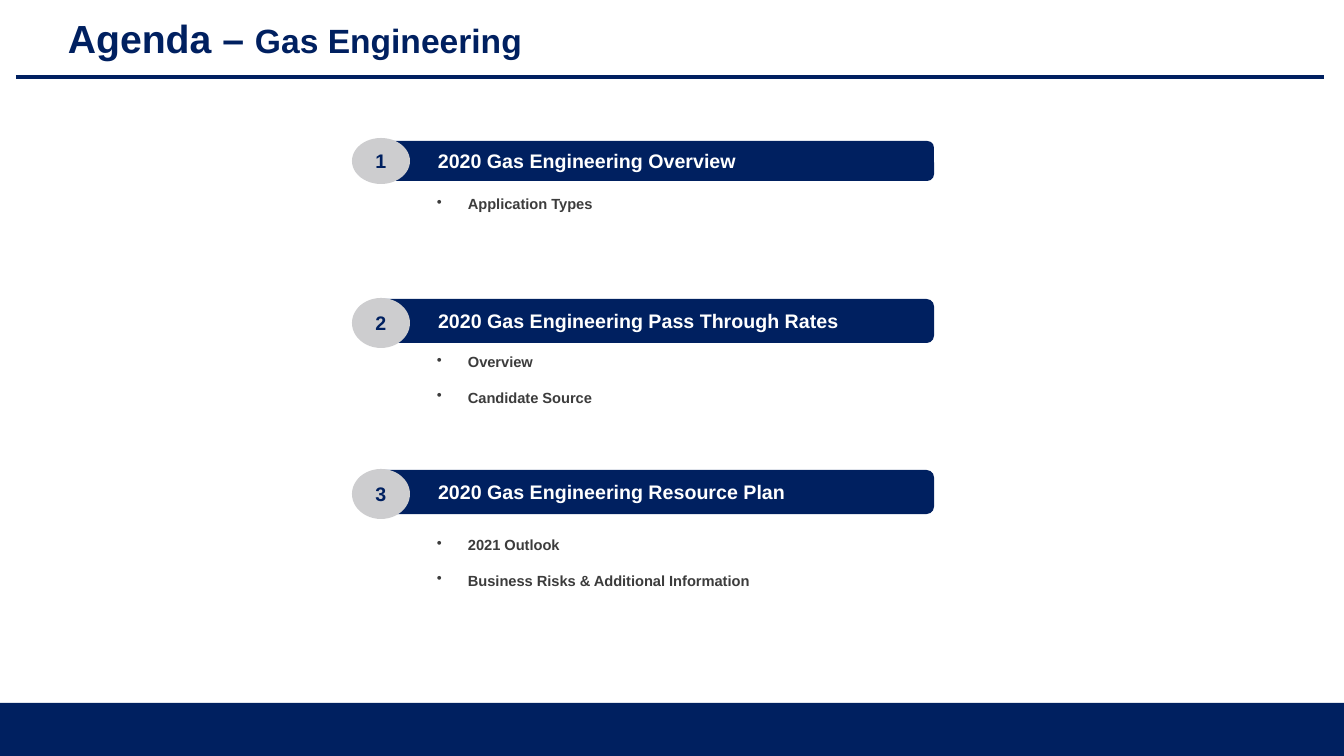
from dataclasses import dataclass

from lxml.etree import SubElement
from pptx import Presentation
from pptx.dml.color import RGBColor
from pptx.enum.shapes import MSO_CONNECTOR as Connector, MSO_SHAPE as Preset
from pptx.enum.text import MSO_ANCHOR as Anchor, PP_ALIGN as Align
from pptx.oxml.ns import qn
from pptx.shapes.autoshape import Shape
from pptx.slide import Slide
from pptx.text.text import _Paragraph as Paragraph
from pptx.util import Emu, Pt

SCALE = 6858000 / 756
NAVY, GREY, CHARCOAL, WHITE = "002060", "CDCDCF", "3C3C3C", "FFFFFF"
BAR_LEFT, BAR_WIDTH = 376, 558
BADGE_LEFT, BADGE_WIDTH = 352, 58


@dataclass(frozen=True)
class Box:
    left: int
    top: int
    width: int
    height: int

    def emu(self) -> tuple[Emu, ...]:
        return tuple(px(n) for n in (self.left, self.top, self.width, self.height))


@dataclass(frozen=True)
class Section:
    heading: str
    bar_top: int
    bar_height: int
    badge_top: int
    badge_height: int
    topics_top: int
    topics: tuple[str, ...]


SECTIONS = (
    Section("2020 Gas Engineering Overview", 141, 40, 138, 46, 190,
            ("Application Types",)),
    Section("2020 Gas Engineering Pass Through Rates", 299, 44, 298, 50, 348,
            ("Overview", "Candidate Source")),
    Section("2020 Gas Engineering Resource Plan", 470, 44, 469, 50, 531,
            ("2021 Outlook", "Business Risks & Additional Information")),
)


def px(pixels: int) -> Emu:
    return Emu(round(pixels * SCALE))


def rgb(color: str) -> RGBColor:
    return RGBColor.from_string(color)


def format_runs(paragraph: Paragraph, size: float, color: str) -> None:
    for run in paragraph.runs:
        run.font.name = "Arial"
        run.font.size = Pt(size)
        run.font.bold = True
        run.font.color.rgb = rgb(color)


def indent(paragraph: Paragraph, margin: int, first: int = 0) -> None:
    properties = paragraph._p.get_or_add_pPr()
    properties.set("marL", str(px(margin)))
    properties.set("indent", str(px(first)))


def add_filled(slide: Slide, preset: Preset, box: Box, color: str) -> Shape:
    shape = slide.shapes.add_shape(preset, *box.emu())
    shape.shadow.inherit = False
    shape.fill.solid()
    shape.fill.fore_color.rgb = rgb(color)
    shape.line.fill.background()
    return shape


def add_label(shape: Shape, text: str, color: str, align: Align) -> Paragraph:
    frame = shape.text_frame
    frame.text = text
    frame.vertical_anchor = Anchor.MIDDLE
    paragraph = frame.paragraphs[0]
    paragraph.alignment = align
    format_runs(paragraph, 14, color)
    return paragraph


def add_title(slide: Slide) -> None:
    title = slide.shapes.add_textbox(*Box(58, 9, 1045, 57).emu())
    frame = title.text_frame
    frame.word_wrap = True
    frame.vertical_anchor = Anchor.MIDDLE
    paragraph = frame.paragraphs[0]
    for text in ("Agenda – ", "Gas Engineering"):
        paragraph.add_run().text = text
    format_runs(paragraph, 28, NAVY)
    paragraph.runs[1].font.size = Pt(24)


def add_rule(slide: Slide) -> None:
    rule = slide.shapes.add_connector(Connector.STRAIGHT, px(16), px(77), px(1324), px(77))
    rule.line.color.rgb = rgb(NAVY)
    rule.line.width = Pt(3)
    SubElement(rule._element.spPr, qn("a:effectLst"))


def add_topics(slide: Slide, section: Section) -> None:
    box = Box(BAR_LEFT, section.topics_top, BAR_WIDTH, 28 + 35 * (len(section.topics) - 1))
    frame = slide.shapes.add_textbox(*box.emu()).text_frame
    frame.word_wrap = True
    frame.text = "\n".join(section.topics)
    for paragraph in frame.paragraphs:
        indent(paragraph, 82, -31)
        paragraph.space_after = Pt(13)
        SubElement(paragraph._p.get_or_add_pPr(), qn("a:buChar"), char="•")
        format_runs(paragraph, 10.5, CHARCOAL)


def add_section(slide: Slide, number: int, section: Section) -> None:
    bar_box = Box(BAR_LEFT, section.bar_top, BAR_WIDTH, section.bar_height)
    bar = add_filled(slide, Preset.ROUNDED_RECTANGLE, bar_box, NAVY)
    indent(add_label(bar, section.heading, WHITE, Align.LEFT), 50)
    badge_box = Box(BADGE_LEFT, section.badge_top, BADGE_WIDTH, section.badge_height)
    badge = add_filled(slide, Preset.OVAL, badge_box, GREY)
    add_label(badge, str(number), NAVY, Align.CENTER)
    add_topics(slide, section)


def main() -> None:
    """Build the gas engineering agenda slide."""
    presentation = Presentation()
    presentation.slide_width, presentation.slide_height = px(1344), px(756)
    slide = presentation.slides.add_slide(presentation.slide_layouts[6])
    add_filled(slide, Preset.RECTANGLE, Box(0, 703, 1344, 53), NAVY)
    add_title(slide)
    add_rule(slide)
    for number, section in enumerate(SECTIONS, 1):
        add_section(slide, number, section)
    presentation.save("out.pptx")


main()
